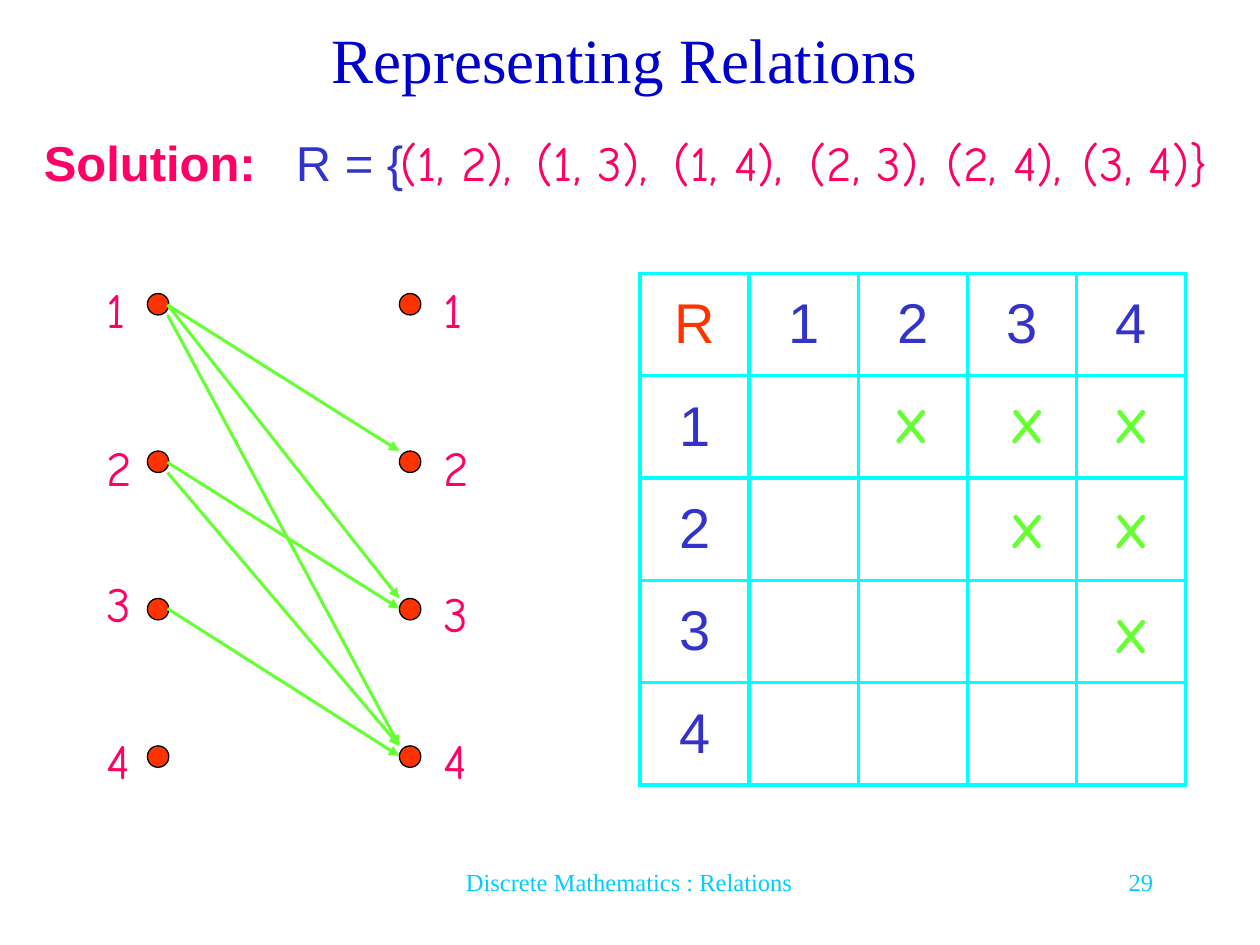
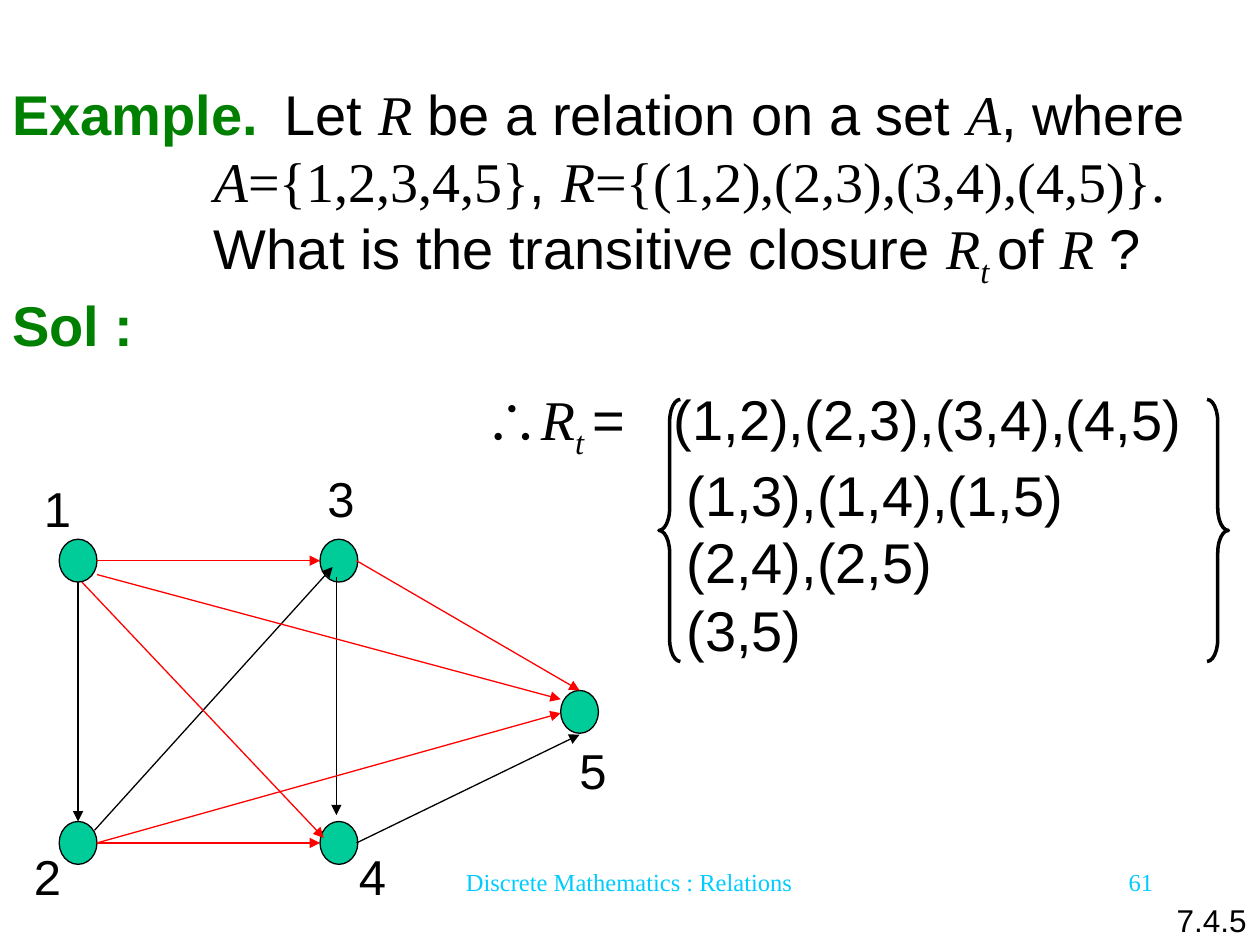
import lxml.etree
import pptx
import pptx.dml.color
import pptx.enum.shapes
import pptx.enum.text
import pptx.oxml.ns
import pptx.util

Inches, Pt = pptx.util.Inches, pptx.util.Pt
RGB = pptx.dml.color.RGBColor.from_string
qn = pptx.oxml.ns.qn
SubElement = lxml.etree.SubElement
SHAPE = pptx.enum.shapes.MSO_SHAPE
ALIGN = pptx.enum.text.PP_ALIGN
MIDDLE = pptx.enum.text.MSO_ANCHOR.MIDDLE

COLORS = {
    "black": "000000", "title": "0000CC", "footer": "00CCFF", "pink": "FF0066",
    "blue": "3333CC", "orange": "FF3300", "lime": "66FF33", "cyan": "00FFFF",
    "green": "008000", "teal": "00CC99", "red": "FF0000",
}
# font, color, bold, italic, baseline in thousandths of a percent
STYLES = {
    "plain": ("Arial", "black", False, False, 0),
    "heading": ("Arial", "green", True, False, 0),
    "serif": ("Times New Roman", "black", False, False, 0),
    "math": ("Times New Roman", "black", False, True, 0),
    "sub": ("Times New Roman", "black", False, True, -25000),
    "title": ("Times New Roman", "title", False, False, 0),
    "footer": ("Times New Roman", "footer", False, False, 0),
    "solution": ("Arial", "pink", True, False, 0),
    "relation": ("Arial", "blue", False, False, 0),
    "corner": ("Arial", "orange", False, False, 0),
    "hand": ("Comic Neue", "pink", False, False, 0),
    "mark": ("Comic Neue", "lime", True, False, 0),
}


def set_text(frame, lines, size, align=ALIGN.LEFT, before=0, indent=0, tab=0):
    """Fill a frame; each line is a list of (text, style), indented if its first text starts with ">"."""
    for number, spans in enumerate(lines):
        para = frame.add_paragraph() if number else frame.paragraphs[0]
        para.alignment = align
        props = para._p.get_or_add_pPr()
        if before:
            SubElement(SubElement(props, qn("a:spcBef")), qn("a:spcPct"), val=str(before * 1000))
        if tab:
            SubElement(SubElement(props, qn("a:tabLst")), qn("a:tab"), pos=str(Inches(tab)), algn="l")
        for text, style in spans:
            if text.startswith(">"):
                props.set("marL", str(Inches(indent)))
                props.set("indent", "0")
            font, color, bold, italic, baseline = STYLES[style]
            span = para.add_run()
            span.text = text.lstrip(">")
            span.font.name, span.font.size = font, Pt(size)
            span.font.bold, span.font.italic = bold, italic
            span.font.color.rgb = RGB(COLORS[color])
            if baseline:
                span._r.get_or_add_rPr().set("baseline", str(baseline))


def add_text(page, place, lines, size, wrap=True, **options):
    frame = page.shapes.add_textbox(*map(Inches, place)).text_frame
    frame.word_wrap = wrap
    set_text(frame, lines, size, **options)
    return frame


deck = pptx.Presentation()
deck.slide_width, deck.slide_height = Inches(10), Inches(7.5)
blank = deck.slide_layouts[6]
relations_page = deck.slides.add_slide(blank)
closure_page = deck.slides.add_slide(blank)

for page, number in ((relations_page, "29"), (closure_page, "61")):
    add_text(page, (2.83, 6.83, 4.33, 0.5), [[("Discrete Mathematics : Relations", "footer")]],
             14, align=ALIGN.CENTER)
    add_text(page, (7.17, 6.83, 2.08, 0.5), [[(number, "footer")]], 14, align=ALIGN.RIGHT)

# Nodes and arrows of both graphs
small_dots = [(x, y) for x in (1.17, 3.17) for y in (2.33, 3.58, 4.75, 5.92)]
graph_nodes = [(0.47, 4.28), (0.47, 6.52), (2.54, 6.52), (2.54, 4.28), (4.45, 5.48)]
for page, corners, width, height, color in (
    (relations_page, small_dots, 0.17, 0.17, "orange"),
    (closure_page, graph_nodes, 0.3, 0.34, "teal"),
):
    for x, y in corners:
        node = page.shapes.add_shape(SHAPE.OVAL, Inches(x), Inches(y), Inches(width), Inches(height))
        node.shadow.inherit = False
        node.fill.solid()
        node.fill.fore_color.rgb = RGB(COLORS[color])
        node.line.color.rgb = RGB(COLORS["black"])
        node.line.width = Pt(0.75)

relation_arrows = [(1.33, start, 3.17, end) for start, end in (
    (2.42, 3.58), (2.42, 4.75), (2.5, 5.92), (3.67, 4.83), (3.75, 5.92), (4.83, 6))]
given_arrows = [(0.62, 4.62, 0.62, 6.52), (0.75, 6.59, 2.64, 4.5),
                (2.67, 4.58, 2.67, 6.47), (2.83, 6.69, 4.6, 5.83)]
added_arrows = [(0.77, 4.45, 2.54, 4.45), (0.77, 6.69, 2.54, 6.69), (0.65, 4.62, 2.57, 6.65),
                (0.77, 4.56, 4.45, 5.55), (0.77, 6.69, 4.45, 5.66), (2.83, 4.45, 4.6, 5.48)]
for page, arrows, color, weight in (
    (relations_page, relation_arrows, "lime", 1.75),
    (closure_page, given_arrows, "black", 0.75),
    (closure_page, added_arrows, "red", 0.75),
):
    for ends in arrows:
        arrow = page.shapes.add_connector(pptx.enum.shapes.MSO_CONNECTOR.STRAIGHT, *map(Inches, ends))
        arrow.line.color.rgb = RGB(COLORS[color])
        arrow.line.width = Pt(weight)
        SubElement(arrow.line._get_or_add_ln(), qn("a:tailEnd"), type="triangle")
        SubElement(arrow._element.spPr, qn("a:effectLst"))

# Slide 1: one relation as a list, a graph and a table
title = add_text(relations_page, (0.5, 0, 8.92, 0.92), [[("Representing Relations", "title")]],
                 36, align=ALIGN.CENTER)
title.vertical_anchor = MIDDLE
add_text(relations_page, (0.25, 1, 9.58, 1), [[("Solution:", "solution"), ("\tR = {", "relation")]],
         28, before=20, tab=2)

pairs = [(1, 2), (1, 3), (1, 4), (2, 3), (2, 4), (3, 4)]
for index, pair in enumerate(pairs):
    ending = "}" if pair == pairs[-1] else ","
    add_text(relations_page, (3.08 + index * 13 / 12, 1, 1.5, 0.57),
             [[(f"{pair}{ending}", "hand")]], 28, before=50)

for x, tops in ((0.75, (2.17, 3.42, 4.5, 5.75)), (3.42, (2.17, 3.42, 4.58, 5.75))):
    for label, y in enumerate(tops, 1):
        add_text(relations_page, (x, y, 0.42, 0.57), [[(str(label), "hand")]], 28, before=50)

table = relations_page.shapes.add_table(
    5, 5, Inches(5.08), Inches(2.17), Inches(4.33), Inches(4.06)).table
table.first_row = table.horz_banding = False
for row in range(5):
    table.rows[row].height = Inches(4.06 / 5)
    for column in range(5):
        cell = table.cell(row, column)
        cell.fill.background()
        cell.vertical_anchor = MIDDLE
        if row == 0 or column == 0:
            label = str(row + column) if row + column else "R"
            style = "relation" if row + column else "corner"
            set_text(cell.text_frame, [[(label, style)]], 32, align=ALIGN.CENTER, before=20)
        cell_props = cell._tc.get_or_add_tcPr()
        for position, side in enumerate(("a:lnL", "a:lnR", "a:lnT", "a:lnB")):
            border = lxml.etree.Element(qn(side), w=str(Pt(2.25)))
            SubElement(SubElement(border, qn("a:solidFill")), qn("a:srgbClr"), val=COLORS["cyan"])
            cell_props.insert(position, border)

mark_left = {2: 7, 3: 7.92, 4: 8.75}
for row, column in pairs:
    add_text(relations_page, (mark_left[column], 3.08 + (row - 1) * 5 / 6, 0.58, 0.57),
             [[("X", "mark")]], 28, before=50)

# Slide 2: transitive closure
add_text(closure_page, (0, 0.58, 10, 2.23), [
    [("Example.", "heading"), ("\tLet ", "plain"), ("R", "math"),
     (" be a relation on a set ", "plain"), ("A", "math"), (", where", "plain")],
    [(">A", "math"), ("={1,2,3,4,5}", "serif"), (", ", "plain"), ("R", "math"),
     ("={(1,2),(2,3),(3,4),(4,5)}.", "serif")],
    [(">What is the transitive closure ", "plain"), ("R", "math"), ("t ", "sub"),
     ("of ", "plain"), ("R", "math"), (" ?", "plain")],
    [("Sol :", "heading")],
], 32, indent=1.6, tab=2.16)

for label, x, y in (("1", 0.25, 3.75), ("2", 0.17, 6.67), ("3", 2.5, 3.67),
                    ("4", 2.75, 6.67), ("5", 4.5, 5.83)):
    add_text(closure_page, (x, y, 0.42, 0.57), [[(label, "plain")]], 28, wrap=False)

add_text(closure_page, (3.75, 3, 5.92, 2.23), [
    [("∴", "plain"), ("R", "math"), ("t ", "sub"), ("=\t(1,2),(2,3),(3,4),(4,5)", "plain")],
    [(">(1,3),(1,4),(1,5)", "plain")],
    [(">(2,4),(2,5)", "plain")],
    [(">(3,5)", "plain")],
], 32, indent=1.6, tab=1.5)

for kind, x in ((SHAPE.LEFT_BRACE, 5.23), (SHAPE.RIGHT_BRACE, 9.58)):
    brace = closure_page.shapes.add_shape(kind, Inches(x), Inches(3.17), Inches(0.17), Inches(2.08))
    brace.shadow.inherit = False
    brace.adjustments[0] = 1.04
    brace.fill.background()
    brace.line.color.rgb = RGB(COLORS["black"])
    brace.line.width = Pt(2)

add_text(closure_page, (9.24, 7.1, 0.76, 0.4), [[("7.4.5", "plain")]], 18, wrap=False)

deck.save("out.pptx")
